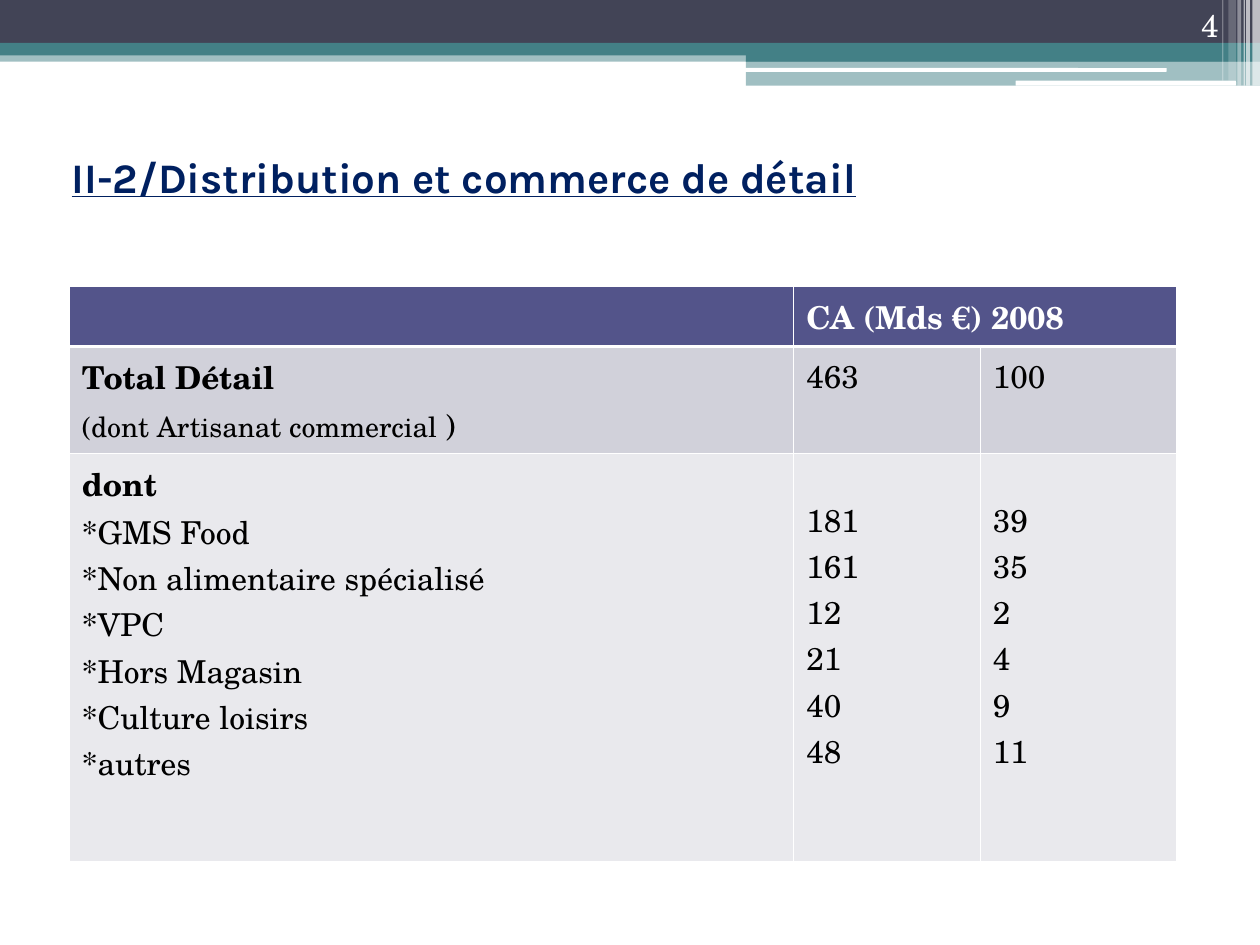
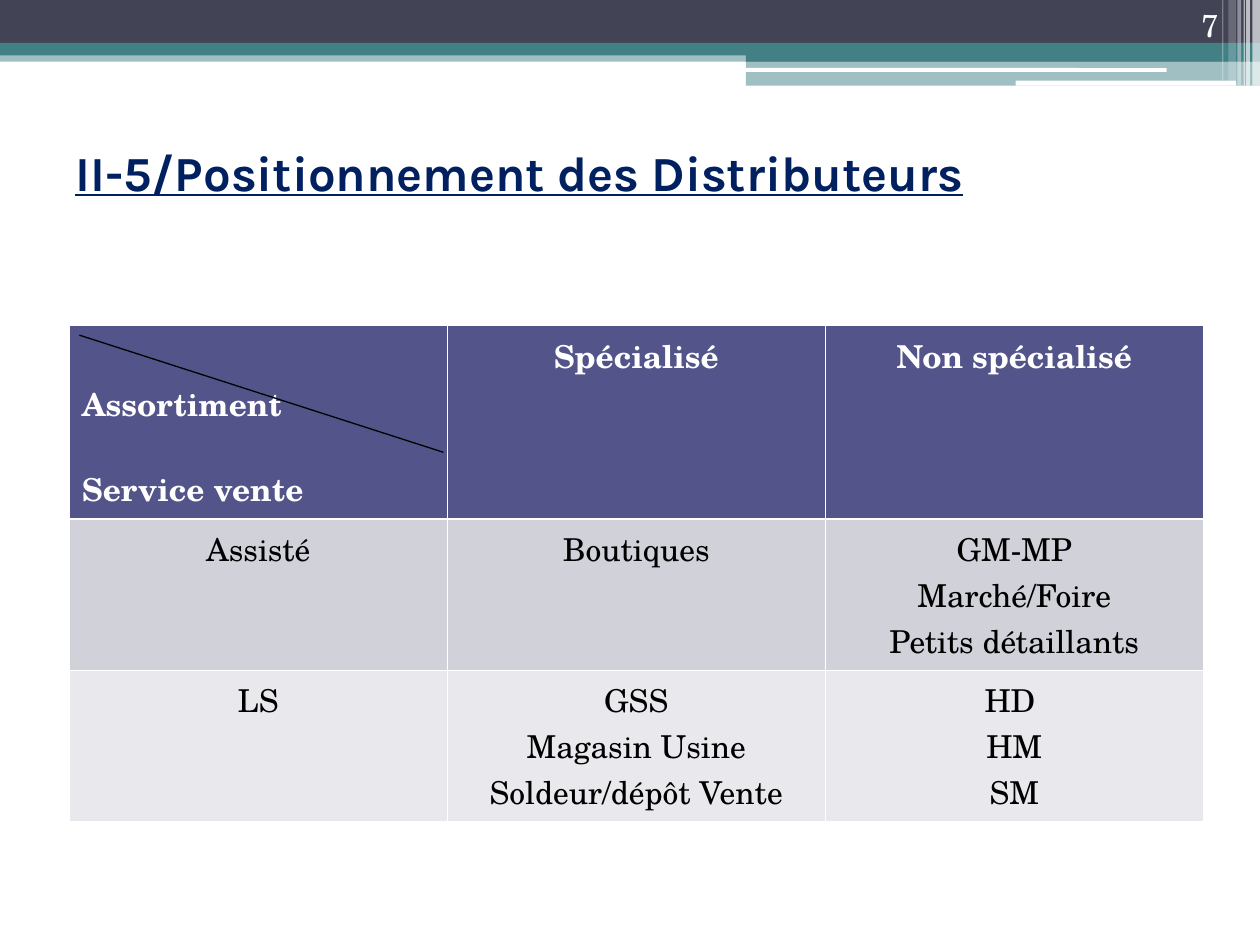
from dataclasses import dataclass

from lxml.etree import SubElement
from pptx import Presentation
from pptx.dml.color import RGBColor
from pptx.enum.shapes import MSO_CONNECTOR, MSO_SHAPE as SHAPE
from pptx.enum.text import MSO_ANCHOR as ANCHOR, PP_ALIGN as ALIGN
from pptx.oxml.ns import qn
from pptx.util import Emu, Pt

# Shared style
PX = 9144  # 100 px to the inch
WHITE, BLACK, NAVY = "FFFFFF", "000000", "002060"
SLATE, TEAL = "424456", "438086"
HEADER, ROW_FILLS = "53548A", ("D1D1DA", "E9E9ED")
TITLE_FONT, BODY_FONT = "Karla", "TeX Gyre Schola"
THIN, THICK = 0.45, 1.47
INSET_X, INSET_Y = 10, 5


@dataclass(frozen=True)
class Box:
    x: int
    y: int
    w: int
    h: int


@dataclass(frozen=True)
class Band:
    box: Box
    color: str
    alpha: int = 100
    rounded: bool = False


@dataclass(frozen=True)
class Run:
    text: str
    size: int = 18
    bold: bool = False
    color: str = BLACK
    font: str = BODY_FONT
    underline: bool = False


@dataclass(frozen=True)
class Cell:
    paras: tuple[tuple[Run, ...], ...] = ()
    align: ALIGN = ALIGN.LEFT
    drop: int = 0  # extra space above the text
    gap: int = 0  # points between paragraphs
    span: int = 1


@dataclass(frozen=True)
class Grid:
    x: int
    y: int
    cols: tuple[int, ...]
    rows: tuple[int, ...]
    cells: tuple[tuple[Cell, ...], ...]


BANDS = (
    Band(Box(0, 40, 1000, 9), TEAL, 50),
    Band(Box(0, 0, 1000, 34), SLATE),
    Band(Box(0, 34, 1000, 10), TEAL),
    Band(Box(592, 39, 408, 10), TEAL),
    Band(Box(592, 48, 408, 20), TEAL, 50),
    Band(Box(591, 54, 335, 3), WHITE, rounded=True),
    Band(Box(806, 64, 175, 4), WHITE, rounded=True),
    # Vertical stripes at the right edge
    *(Band(Box(x, 0, w, h), WHITE, alpha) for x, w, h, alpha in (
        (994, 6, 68, 65), (989, 3, 68, 65), (987, 1, 68, 60),
        (982, 3, 68, 40), (975, 6, 64, 20), (970, 1, 64, 30))),
)


def px(n: int) -> Emu:
    return Emu(n * PX)


def rgb(color: str) -> RGBColor:
    return RGBColor.from_string(color)


def place(box: Box) -> tuple[Emu, ...]:
    return px(box.x), px(box.y), px(box.w), px(box.h)


# Drawing functions
def add_band(s, band: Band) -> None:
    kind = SHAPE.ROUNDED_RECTANGLE if band.rounded else SHAPE.RECTANGLE
    sp = s.shapes.add_shape(kind, *place(band.box))
    sp.shadow.inherit = False
    sp.line.fill.background()
    sp.fill.solid()
    sp.fill.fore_color.rgb = rgb(band.color)
    if band.alpha < 100:
        color = sp.fill._xPr.find(qn("a:solidFill"))[0]
        SubElement(color, qn("a:alpha"), val=str(band.alpha * 1000))


def add_runs(p, runs: tuple[Run, ...]) -> None:
    for run in runs:
        r = p.add_run()
        r.text = run.text
        r.font.name, r.font.size = run.font, Pt(run.size)
        r.font.bold, r.font.underline = run.bold, run.underline
        r.font.color.rgb = rgb(run.color)


def add_text(s, box: Box, run: Run, anchor: ANCHOR, align: ALIGN = ALIGN.LEFT) -> None:
    tf = s.shapes.add_textbox(*place(box)).text_frame
    tf.word_wrap = True
    tf.vertical_anchor = anchor
    tf.margin_left = tf.margin_right = px(INSET_X)
    tf.margin_top = tf.margin_bottom = px(INSET_Y)
    p = tf.paragraphs[0]
    p.alignment = align
    add_runs(p, (run,))


def set_borders(cell, top: float, bottom: float) -> None:
    tc_pr = cell._tc.get_or_add_tcPr()
    widths = {"a:lnL": THIN, "a:lnR": THIN, "a:lnT": top, "a:lnB": bottom}
    for i, (tag, width) in enumerate(widths.items()):
        ln = SubElement(tc_pr, qn(tag), w=str(Pt(width)))
        SubElement(SubElement(ln, qn("a:solidFill")), qn("a:srgbClr"), val=WHITE)
        tc_pr.insert(i, ln)


def fill_cell(cell, content: Cell) -> None:
    cell.margin_left = cell.margin_right = px(INSET_X)
    cell.margin_top, cell.margin_bottom = px(INSET_Y + content.drop), px(INSET_Y)
    tf = cell.text_frame
    for i, runs in enumerate(content.paras):
        p = tf.add_paragraph() if i else tf.paragraphs[0]
        p.alignment = content.align
        if i and content.gap:
            p.space_before = Pt(content.gap)
        add_runs(p, runs)


def add_grid(s, grid: Grid) -> None:
    box = Box(grid.x, grid.y, sum(grid.cols), sum(grid.rows))
    tbl = s.shapes.add_table(len(grid.rows), len(grid.cols), *place(box)).table
    for col, width in zip(tbl.columns, grid.cols):
        col.width = px(width)
    for row, height in zip(tbl.rows, grid.rows):
        row.height = px(height)
    for i, fill in enumerate((HEADER, *ROW_FILLS)):
        for j in range(len(grid.cols)):
            cell = tbl.cell(i, j)
            cell.fill.solid()
            cell.fill.fore_color.rgb = rgb(fill)
            set_borders(cell, THICK if i == 1 else THIN, THICK if i == 0 else THIN)
        for j, content in enumerate(grid.cells[i]):
            if content.span > 1:
                tbl.cell(i, j).merge(tbl.cell(i, j + content.span - 1))
            fill_cell(tbl.cell(i, j), content)


def add_line(s, x1: int, y1: int, x2: int, y2: int) -> None:
    cx = s.shapes.add_connector(MSO_CONNECTOR.STRAIGHT, px(x1), px(y1), px(x2), px(y2))
    cx.line.color.rgb = rgb(BLACK)
    cx.line.width = Pt(0.75)
    SubElement(cx._element.spPr, qn("a:effectLst"))


def add_slide(prs, title: str, size: int, box: Box, number: int, grid: Grid):
    s = prs.slides.add_slide(prs.slide_layouts[6])
    for band in BANDS:
        add_band(s, band)
    add_text(s, box, Run(title, size, True, NAVY, TITLE_FONT, True), ANCHOR.MIDDLE)
    add_grid(s, grid)
    add_text(s, Box(894, 0, 83, 40), Run(str(number), color=WHITE), ANCHOR.BOTTOM, ALIGN.RIGHT)
    return s


# Cell builders
def lines(*texts: str, **options) -> Cell:
    return Cell(tuple((Run(t),) for t in texts), **options)


def head(*texts: str, **options) -> Cell:
    return Cell(tuple((Run(t, bold=True, color=WHITE),) for t in texts), **options)


def centred(*texts: str) -> Cell:
    return lines(*texts, align=ALIGN.CENTER)


# Slide contents
SECTORS = (
    ("GMS Food", 181, 39),
    ("Non alimentaire spécialisé", 161, 35),
    ("VPC", 12, 2),
    ("Hors Magasin", 21, 4),
    ("Culture loisirs", 40, 9),
    ("autres", 48, 11),
)
names, sales, shares = zip(*SECTORS)

RETAIL = Grid(55, 227, (575, 148, 156), (48, 85, 324), (
    (Cell(), head("CA (Mds €) 2008", span=2)),
    (Cell(((Run("Total Détail", bold=True),),
           (Run("(dont Artisanat commercial ", 16), Run(")")))),
     lines("463"), lines("100")),
    (Cell(((Run("dont", bold=True),), *((Run(f"*{n}"),) for n in names))),
     *(lines(*map(str, values), drop=29) for values in (sales, shares))),
))

POSITIONING = Grid(55, 258, (300,) * 3, (154, 120, 120), (
    (head("Assortiment", "Service vente", drop=38, gap=21),
     head("Spécialisé", align=ALIGN.CENTER),
     head("Non spécialisé", align=ALIGN.CENTER)),
    (centred("Assisté"), centred("Boutiques"),
     centred("GM-MP", "Marché/Foire", "Petits détaillants")),
    (centred("LS"), centred("GSS", "Magasin Usine", "Soldeur/dépôt Vente"),
     centred("HD ", "HM", "SM")),
))


def main() -> None:
    prs = Presentation()
    prs.slide_width, prs.slide_height = px(1000), px(750)
    add_slide(prs, "II-2/Distribution et commerce de détail", 24,
              Box(47, 117, 900, 47), 4, RETAIL)
    s = add_slide(prs, "II-5/Positionnement des Distributeurs", 28,
                  Box(50, 78, 900, 117), 7, POSITIONING)
    add_line(s, 63, 266, 352, 359)  # diagonal of the corner cell
    prs.save("out.pptx")


if __name__ == "__main__":
    main()
